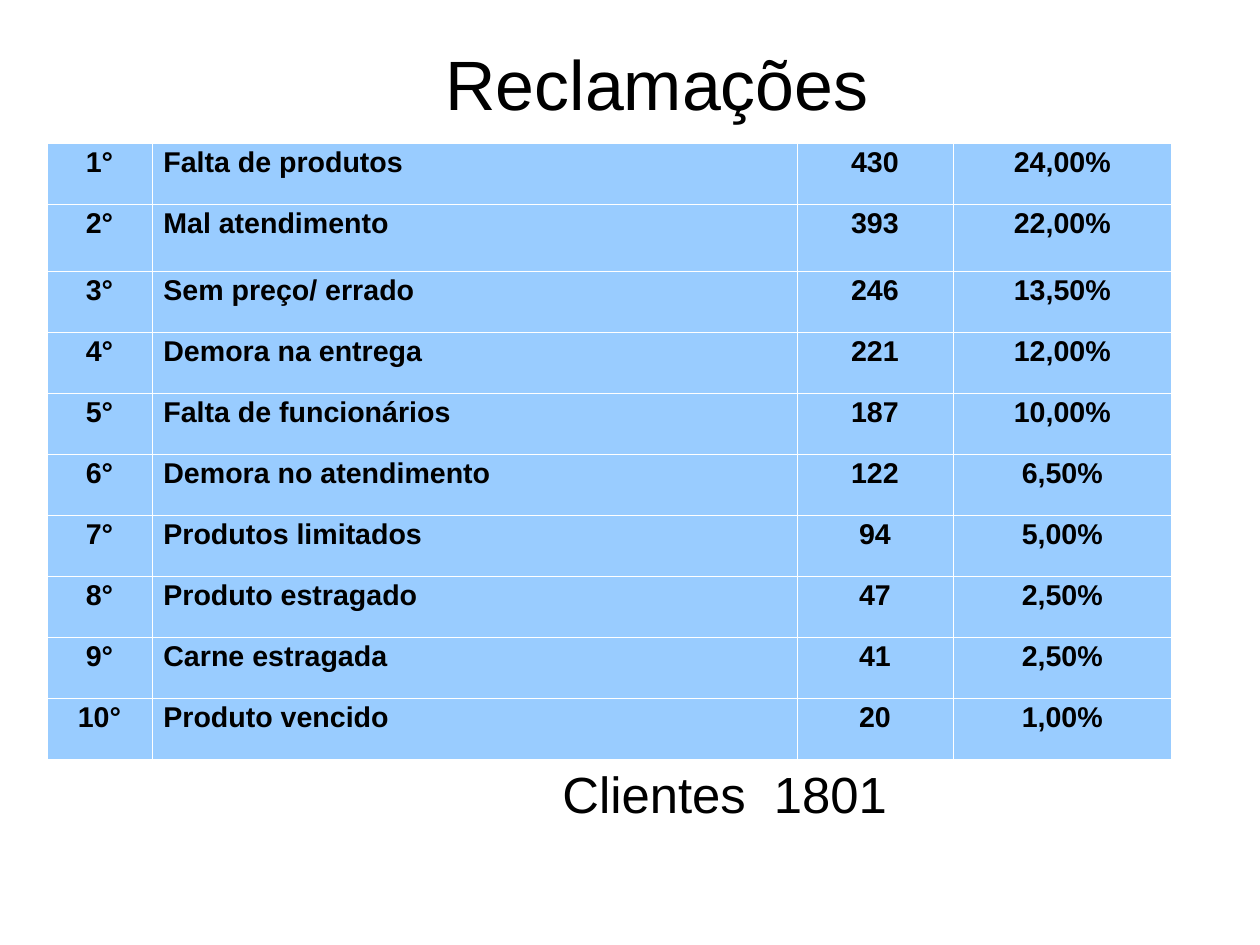
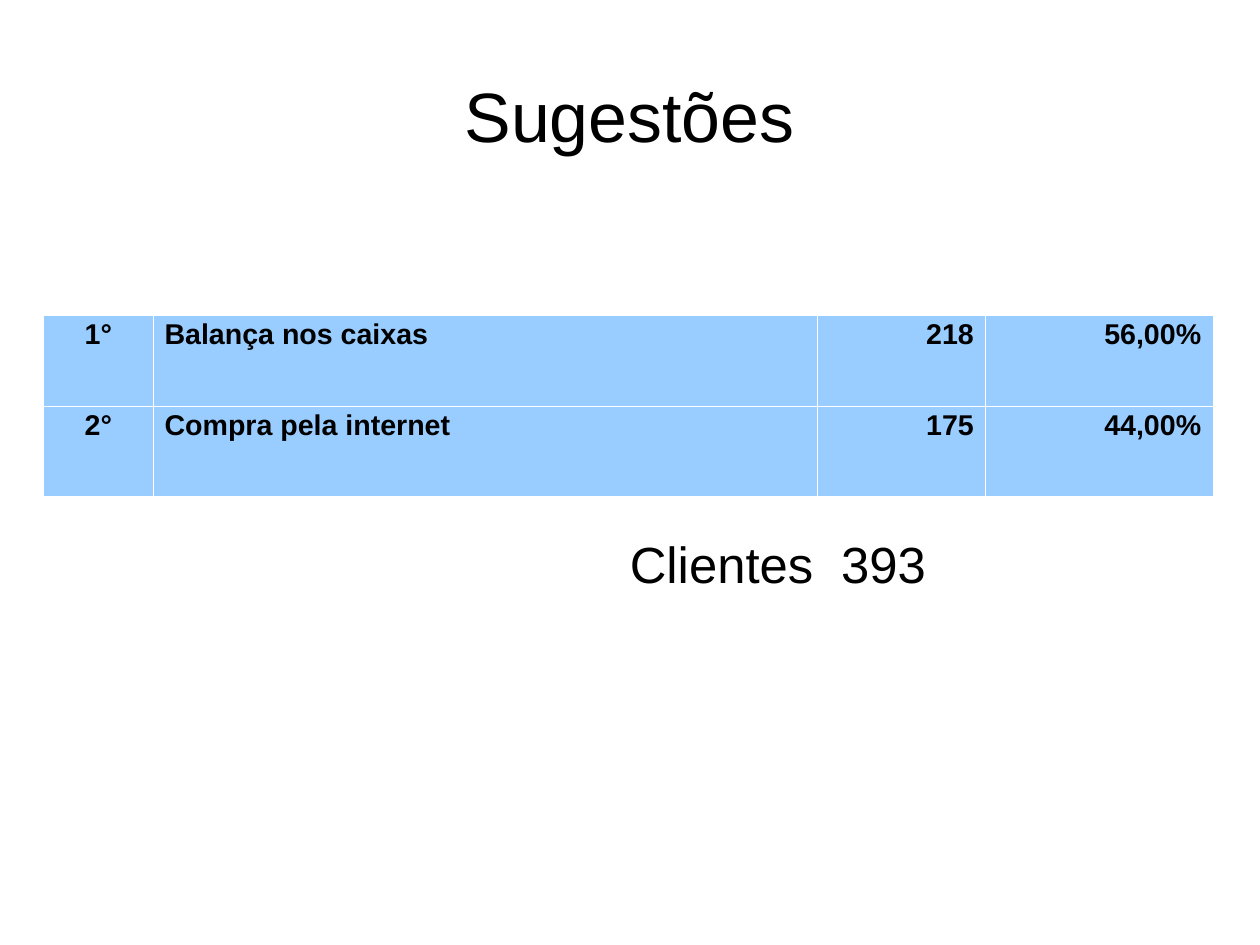
from dataclasses import dataclass

from lxml.etree import SubElement
from pptx import Presentation
from pptx.dml.color import RGBColor
from pptx.enum.text import MSO_ANCHOR, MSO_AUTO_SIZE, PP_ALIGN
from pptx.oxml.ns import qn
from pptx.util import Cm, Inches, Pt


@dataclass(frozen=True)
class Theme:
    font: str = "Arial"
    text: RGBColor = RGBColor(0, 0, 0)
    cell: RGBColor = RGBColor(0x99, 0xCC, 0xFF)
    border: str = "FFFFFF"
    border_width: float = 0.06
    title_size: int = 44
    total_size: int = 32
    cell_size: int = 18
    spacing: float = 0.93


THEME = Theme()
LEFT, CENTER, RIGHT = PP_ALIGN.LEFT, PP_ALIGN.CENTER, PP_ALIGN.RIGHT

COMPLAINTS = [
    ("1°", "Falta de produtos", "430", "24,00%"),
    ("2°", "Mal atendimento", "393", "22,00%"),
    ("3°", "Sem preço/ errado", "246", "13,50%"),
    ("4°", "Demora na entrega", "221", "12,00%"),
    ("5°", "Falta de funcionários", "187", "10,00%"),
    ("6°", "Demora no atendimento", "122", "6,50%"),
    ("7°", "Produtos limitados", "94", "5,00%"),
    ("8°", "Produto estragado", "47", "2,50%"),
    ("9°", "Carne estragada", "41", "2,50%"),
    ("10°", "Produto vencido", "20", "1,00%"),
]
SUGGESTIONS = [
    ("1°", "Balança nos caixas", "218", "56,00%"),
    ("2°", "Compra pela internet", "175", "44,00%"),
]
TALL_ROW = 0.59
COMPLAINT_ROW = (5.39 - TALL_ROW) / 9


def style(p, size, align=LEFT, bold=False, spacing=THEME.spacing):
    p.alignment = align
    p.line_spacing = spacing
    for r in p.runs:
        r.font.name = THEME.font
        r.font.size = Pt(size)
        r.font.bold = bold
        r.font.color.rgb = THEME.text


def set_frame(tf, top_inset, anchor):
    tf.word_wrap = True
    tf.auto_size = MSO_AUTO_SIZE.NONE
    tf.vertical_anchor = anchor
    tf.margin_left = tf.margin_right = tf.margin_bottom = 0
    tf.margin_top = Inches(top_inset)


def add_title(s, text, box):
    sp = s.shapes.title
    sp.left, sp.top, sp.width, sp.height = map(Inches, box)
    set_frame(sp.text_frame, 0.04, MSO_ANCHOR.MIDDLE)
    sp.text_frame.text = text
    style(sp.text_frame.paragraphs[0], THEME.title_size, CENTER)


def set_borders(cell):
    tcPr = cell._tc.get_or_add_tcPr()
    for side in ("a:lnL", "a:lnR", "a:lnT", "a:lnB"):
        ln = SubElement(tcPr, qn(side), w=str(Pt(THEME.border_width)))
        fill = SubElement(ln, qn("a:solidFill"))
        SubElement(fill, qn("a:srgbClr"), val=THEME.border)


def add_ranking(s, rows, origin, widths, heights, number_align):
    box = (*origin, sum(widths), sum(heights))
    table = s.shapes.add_table(len(rows), len(widths), *map(Inches, box)).table
    table.first_row = table.horz_banding = False
    for column, width in zip(table.columns, widths):
        column.width = Inches(width)
    aligns = (CENTER, LEFT, number_align, number_align)
    for i, (row, height) in enumerate(zip(rows, heights)):
        table.rows[i].height = Inches(height)
        for j, (text, align) in enumerate(zip(row, aligns)):
            cell = table.cell(i, j)
            cell.text = text
            style(cell.text_frame.paragraphs[0], THEME.cell_size, align, True)
            set_borders(cell)
            cell.fill.solid()
            cell.fill.fore_color.rgb = THEME.cell


def add_total(s, count, box, spacing):
    tf = s.shapes.add_textbox(*map(Inches, box)).text_frame
    set_frame(tf, 0.03, MSO_ANCHOR.TOP)
    p = tf.paragraphs[0]
    p.text = f"Clientes\t{count}"
    tabs = SubElement(p._p.get_or_add_pPr(), qn("a:tabLst"))
    SubElement(tabs, qn("a:tab"), pos=str(Inches(1.85)), algn="l")
    style(p, THEME.total_size, spacing=spacing)


def add_slide(prs, title, ranking, total):
    s = prs.slides.add_slide(prs.slide_layouts[5])
    add_title(s, *title)
    add_ranking(s, *ranking)
    add_total(s, *total)


def main():
    prs = Presentation()
    prs.slide_width, prs.slide_height = Cm(28), Cm(21)
    add_slide(
        prs,
        ("Reclamações", (0.79, 0.1, 9.92, 1.28)),
        (COMPLAINTS, (0.41, 1.25), (0.92, 5.64, 1.37, 1.91),
         [COMPLAINT_ROW, TALL_ROW] + [COMPLAINT_ROW] * 8, CENTER),
        ("1801", (4.92, 6.69, 3.35, 0.59), THEME.spacing),
    )
    add_slide(
        prs,
        ("Sugestões", (0.55, 0.33, 9.92, 1.38)),
        (SUGGESTIONS, (0.38, 2.76), (0.96, 5.81, 1.47, 1.99),
         [0.79] * 2, RIGHT),
        ("393", (5.51, 4.72, 2.95, 0.5), 0.83),
    )
    prs.save("out.pptx")


if __name__ == "__main__":
    main()
